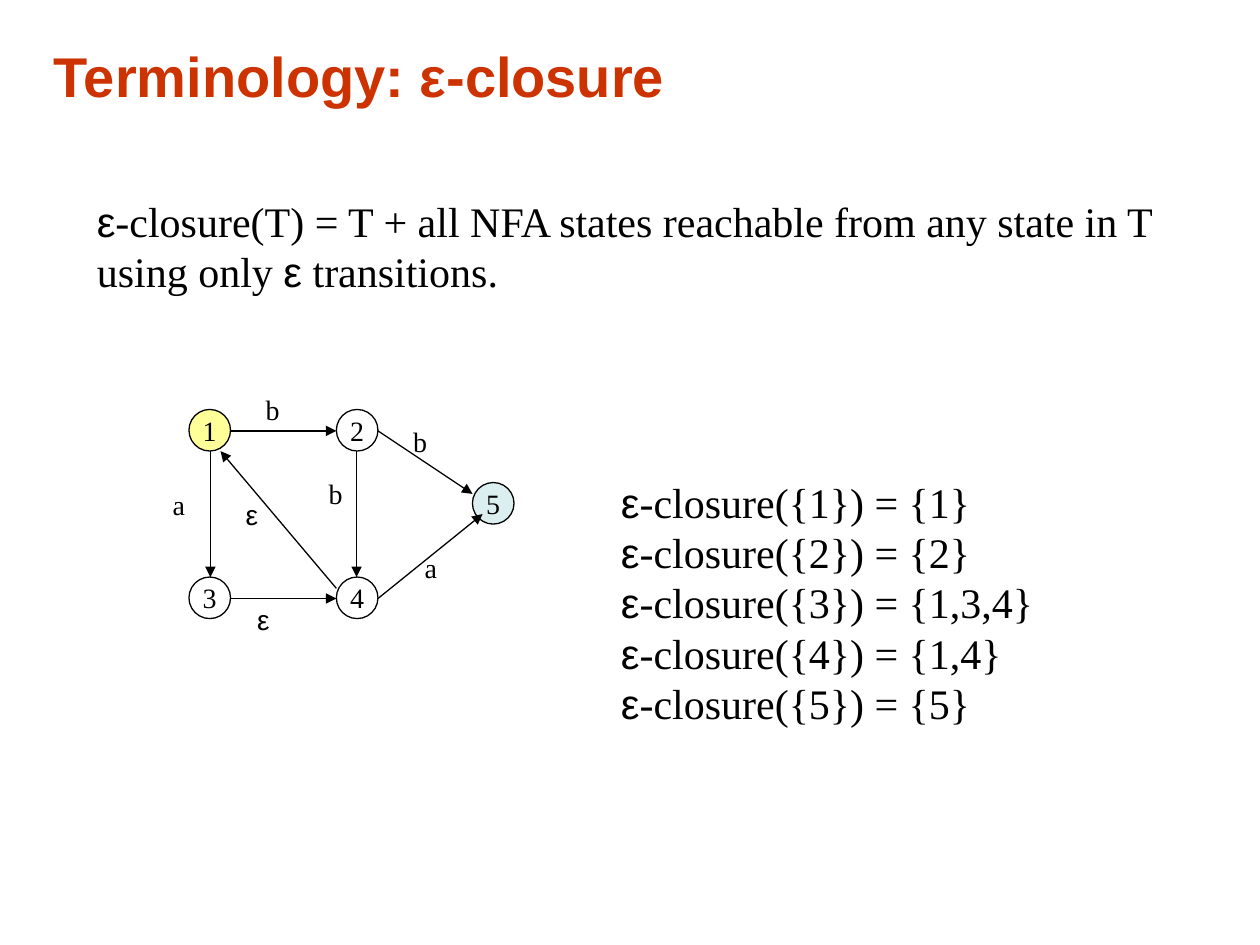
"""Build the epsilon-closure slide with its NFA diagram."""
from dataclasses import dataclass
from itertools import groupby

import pptx
import pptx.dml.color
import pptx.enum.shapes
import pptx.enum.text
import pptx.oxml.ns
import pptx.util
from lxml import etree

Inches = pptx.util.Inches
Pt = pptx.util.Pt
Align = pptx.enum.text.PP_ALIGN
Anchor = pptx.enum.text.MSO_ANCHOR

SERIF = "Times New Roman"
SANS = "Arial"
BLACK = "000000"
DIAMETER = 0.33
LABEL_WIDTH, LABEL_HEIGHT = 0.3, 0.37
LEFT, MIDDLE, RIGHT = 1.5, 2.67, 3.75
UPPER, CENTRE, LOWER = 3.25, 3.83, 4.58


@dataclass(frozen=True)
class State:
    name: str
    left: float
    top: float
    fill: str = "FFFFFF"
    opacity: int = 100


@dataclass(frozen=True)
class Transition:
    start: tuple[float, float]
    end: tuple[float, float]
    symbol: str
    label_left: float
    label_top: float


STATES = [
    State("1", LEFT, UPPER, "FFFF99"),
    State("5", RIGHT, CENTRE, "BBE0E3", 50),
    State("2", MIDDLE, UPPER),
    State("4", MIDDLE, LOWER),
    State("3", LEFT, LOWER),
]

TRANSITIONS = [
    Transition((1.83, 3.42), (2.67, 3.42), "b", 2.01, 3.07),
    Transition((2.83, 3.58), (2.83, 4.58), "b", 2.51, 3.73),
    Transition((2.67, 4.67), (1.75, 3.58), "ε", 1.85, 3.9),
    Transition((1.67, 3.58), (1.67, 4.58), "a", 1.27, 3.82),
    Transition((1.83, 4.75), (2.67, 4.75), "ε", 1.94, 4.73),
    Transition((3, 4.75), (3.83, 4.08), "a", 3.27, 4.32),
    Transition((3, 3.42), (3.75, 3.92), "b", 3.18, 3.32),
]

CLOSURES = {"1": "1", "2": "2", "3": "1,3,4", "4": "1,4", "5": "5"}


def colour(value: str) -> pptx.dml.color.RGBColor:
    return pptx.dml.color.RGBColor.from_string(value)


def write(box, lines: list[str], size: float, *, font: str = SERIF,
          ink: str = BLACK, bold: bool = False, align=Align.LEFT,
          anchor=Anchor.TOP, wrap: bool = True) -> None:
    frame = box.text_frame
    frame_format = {"word_wrap": wrap, "vertical_anchor": anchor}
    for name, value in frame_format.items():
        setattr(frame, name, value)
    for index, line in enumerate(lines):
        para = frame.add_paragraph() if index else frame.paragraphs[0]
        para.alignment = align
        for is_epsilon, letters in groupby(line, lambda letter: letter == "ε"):
            span = para.add_run()
            span.text = "".join(letters)
            span_format = {"name": SANS if is_epsilon else font,
                           "size": Pt(size), "bold": bold}
            for name, value in span_format.items():
                setattr(span.font, name, value)
            span.font.color.rgb = colour(ink)


def add_text(page, left: float, top: float, width: float, height: float,
             lines: list[str], size: float, **text_format) -> None:
    box = page.shapes.add_textbox(
        Inches(left), Inches(top), Inches(width), Inches(height))
    write(box, lines, size, **text_format)


def add_state(page, state: State) -> None:
    circle = page.shapes.add_shape(
        pptx.enum.shapes.MSO_SHAPE.OVAL, Inches(state.left), Inches(state.top),
        Inches(DIAMETER), Inches(DIAMETER))
    circle.shadow.inherit = False
    circle.fill.solid()
    circle.fill.fore_color.rgb = colour(state.fill)
    if state.opacity < 100:
        tone = circle.fill._xPr.find(".//" + pptx.oxml.ns.qn("a:srgbClr"))
        etree.SubElement(tone, pptx.oxml.ns.qn("a:alpha"),
                         val=str(state.opacity * 1000))
    circle.line.color.rgb = colour(BLACK)
    circle.line.width = Pt(0.75)
    write(circle, [state.name], 16, align=Align.CENTER,
          anchor=Anchor.MIDDLE, wrap=False)


def add_arrow(page, transition: Transition) -> None:
    points = [Inches(value) for value in transition.start + transition.end]
    arrow = page.shapes.add_connector(
        pptx.enum.shapes.MSO_CONNECTOR.STRAIGHT, *points)
    arrow.line.color.rgb = colour(BLACK)
    arrow.line.width = Pt(0.75)
    etree.SubElement(arrow.line._get_or_add_ln(),
                     pptx.oxml.ns.qn("a:tailEnd"), type="triangle")
    etree.SubElement(arrow._element.spPr, pptx.oxml.ns.qn("a:effectLst"))


def main() -> None:
    deck = pptx.Presentation()
    deck.slide_width, deck.slide_height = Inches(10), Inches(7.5)
    page = deck.slides.add_slide(deck.slide_layouts[6])
    add_text(page, 0.33, 0.25, 9.4, 0.7, ["Terminology: ε-closure"], 32,
             font=SANS, ink="CC3300", bold=True, anchor=Anchor.MIDDLE)
    add_text(page, 0.67, 1.5, 8.83, 0.9,
             ["ε-closure(T) = T + all NFA states reachable from any state in T "
              "using only ε transitions."], 24)
    for state in STATES:
        add_state(page, state)
    for transition in TRANSITIONS:
        add_arrow(page, transition)
    for transition in TRANSITIONS:
        add_text(page, transition.label_left, transition.label_top,
                 LABEL_WIDTH, LABEL_HEIGHT, [transition.symbol], 16,
                 align=Align.CENTER, wrap=False)
    add_text(page, 4.83, 3.73, 4.17, 2.5,
             [f"ε-closure({{{state}}}) = {{{reached}}}"
              for state, reached in CLOSURES.items()], 24)
    deck.save("out.pptx")


if __name__ == "__main__":
    main()
